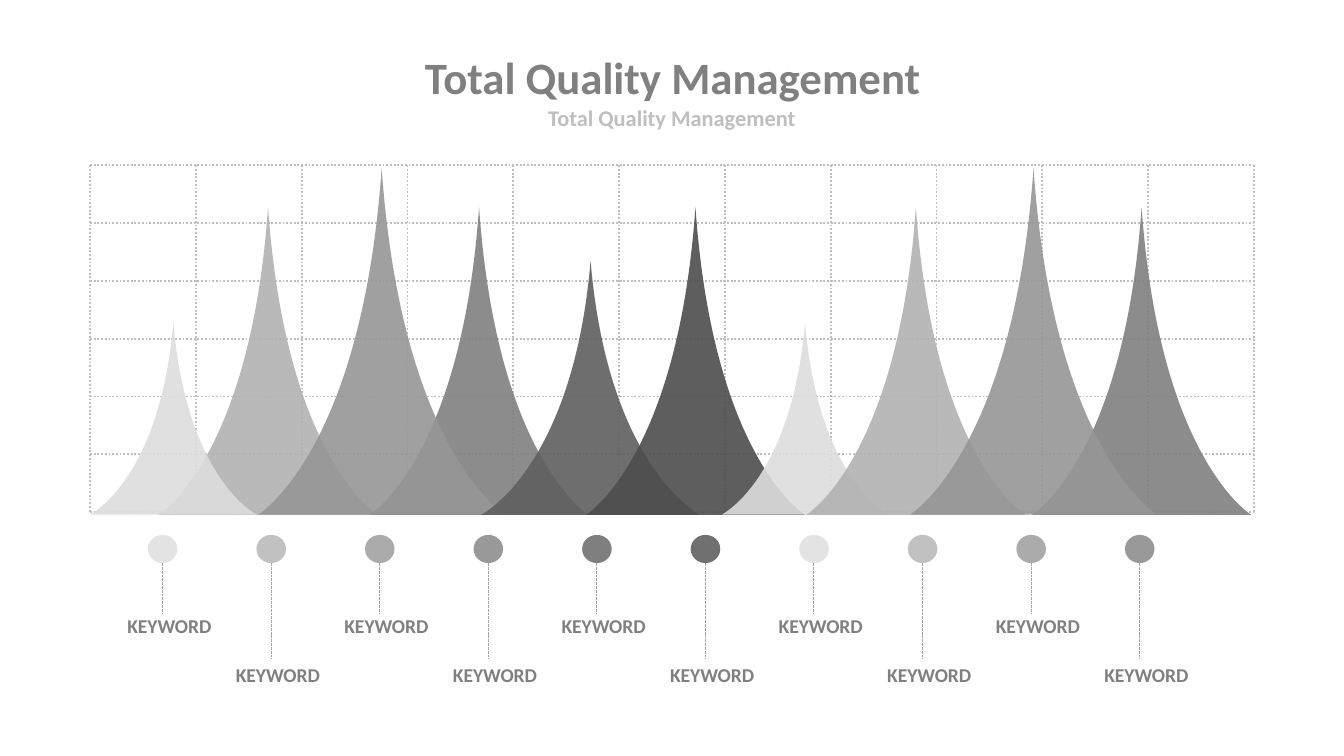
"""Build a slide of overlapping peaks on a dotted grid with keyword markers."""
from lxml.etree import SubElement
from pptx import Presentation
from pptx.dml.color import RGBColor
from pptx.enum.dml import MSO_LINE
from pptx.enum.shapes import MSO_CONNECTOR, MSO_SHAPE
from pptx.enum.text import MSO_ANCHOR, MSO_AUTO_SIZE as AutoSize, PP_ALIGN
from pptx.oxml.ns import qn
from pptx.util import Inches, Pt

TITLE = "Total Quality Management"
SUBTITLE = "Total Quality Management"
KEYWORDS = ["KEYWORD"] * 10
MARKER_SHADES = ["DDDDDD", "B2B2B2", "969696", "808080", "5F5F5F",
                 "4D4D4D", "DDDDDD", "B2B2B2", "969696", "808080"]
# (left, top, width, shade), back to front
PEAKS = [
    (1.18, 1.54, 1.63, "B2B2B2"),
    (2.75, 1.54, 1.63, "808080"),
    (0.67, 2.40, 1.24, "DDDDDD"),
    (1.92, 1.25, 1.84, "969696"),
    (3.58, 1.94, 1.63, "5F5F5F"),
    (4.36, 1.54, 1.63, "4D4D4D"),
    (5.37, 2.40, 1.24, "DDDDDD"),
    (6.00, 1.54, 1.63, "B2B2B2"),
    (7.68, 1.54, 1.63, "808080"),
    (6.77, 1.25, 1.84, "969696"),
]
THEME = {
    "font": "Calibri", "text": "808080", "subtitle": "BFBFBF",
    "grid": "BFBFBF", "stem": "A6A6A6",
    "title_size": 24, "subtitle_size": 12, "label_size": 10.5,
    "peak_alpha": 90, "marker_alpha": 80,
}
SLIDE_WIDTH = Inches(10)
SLIDE_HEIGHT = SLIDE_WIDTH * 9 // 16
GRID = {"left": 0.67, "right": 9.33, "top": 1.23, "bottom": 3.81, "columns": 11, "rows": 6}
PEAK_BASE = 3.83
MARKER = {"first": 1.21, "last": 8.48, "top": 3.98, "width": 0.22, "height": 0.21}
STEM_ENDS = (4.56, 4.90)
LABEL_TOPS = (4.57, 4.93)
LABEL = {"offset": 0.05, "width": 0.64, "height": 0.18}


def write(shape, text, size, color, line_spacing=None):
    frame = shape.text_frame
    frame.word_wrap = False
    frame.margin_left = frame.margin_right = frame.margin_top = frame.margin_bottom = 0
    paragraph = frame.paragraphs[0]
    paragraph.alignment = PP_ALIGN.CENTER
    paragraph.space_before = Pt(0)
    if line_spacing:
        paragraph.line_spacing = line_spacing
    run = paragraph.add_run()
    run.text = text
    run.font.name = THEME["font"]
    run.font.size = Pt(size)
    run.font.bold = True
    run.font.color.rgb = RGBColor.from_string(color)
    return frame


def write_heading(placeholder, box, text, size, color):
    placeholder.left, placeholder.top, placeholder.width, placeholder.height = map(Inches, box)
    properties = placeholder.text_frame.paragraphs[0]._p.get_or_add_pPr()
    properties.set("marL", "0")
    properties.set("indent", "0")
    SubElement(properties, qn("a:buNone"))
    frame = write(placeholder, text, size, color, 0.9)
    frame.vertical_anchor = MSO_ANCHOR.MIDDLE
    frame.auto_size = AutoSize.NONE


def add_line(shapes, start, end, color, width, dash):
    line = shapes.add_connector(MSO_CONNECTOR.STRAIGHT, *map(Inches, (*start, *end)))
    line.line.color.rgb = RGBColor.from_string(color)
    line.line.width = Pt(width)
    line.line.dash_style = dash
    SubElement(line.element.spPr, qn("a:effectLst"))


def paint(shape, color, alpha):
    shape.shadow.inherit = False
    shape.fill.solid()
    shape.fill.fore_color.rgb = RGBColor.from_string(color)
    shape.line.fill.background()
    shade = shape.element.spPr.find(qn("a:solidFill")).find(qn("a:srgbClr"))
    SubElement(shade, qn("a:alpha")).set("val", str(alpha * 1000))


def add_grid(shapes):
    left, right, top, bottom, columns, rows = GRID.values()
    xs = [left + (right - left) * i / columns for i in range(columns + 1)]
    ys = [top + (bottom - top) * i / rows for i in range(rows + 1)]
    ends = [((x, top), (x, bottom)) for x in xs] + [((left, y), (right, y)) for y in ys]
    for start, end in ends:
        add_line(shapes, start, end, THEME["grid"], 1, MSO_LINE.ROUND_DOT)


def add_peak(shapes, left, top, width, shade):
    middle, right = left + width / 2, left + width
    bend, bend_y = 0.08 * width, PEAK_BASE - 0.18 * (PEAK_BASE - top)
    points = [(right, PEAK_BASE), (middle + bend, bend_y), (middle, top),
              (middle - bend, bend_y), (left, PEAK_BASE), (left, PEAK_BASE)]
    builder = shapes.build_freeform(Inches(right), Inches(PEAK_BASE))
    builder.add_line_segments([(Inches(x), Inches(y)) for x, y in points], close=True)
    peak = builder.convert_to_shape()
    segments = list(peak.element.iter(qn("a:lnTo")))
    for curve, *others in (segments[:3], segments[3:]):
        curve.tag = qn("a:cubicBezTo")
        for segment in others:
            curve.append(segment[0])
            segment.getparent().remove(segment)
    paint(peak, shade, THEME["peak_alpha"])


def add_marker(shapes, center, keyword, shade, level):
    top, width, height = MARKER["top"], MARKER["width"], MARKER["height"]
    dot = shapes.add_shape(MSO_SHAPE.OVAL, *map(Inches, (center - width / 2, top, width, height)))
    paint(dot, shade, THEME["marker_alpha"])
    add_line(shapes, (center, top + height), (center, STEM_ENDS[level]),
             THEME["stem"], 0.5, MSO_LINE.SQUARE_DOT)
    label_left = center + LABEL["offset"] - LABEL["width"] / 2
    label = shapes.add_textbox(*map(Inches, (label_left, LABEL_TOPS[level],
                                             LABEL["width"], LABEL["height"])))
    frame = write(label, keyword, THEME["label_size"], THEME["text"])
    frame.auto_size = AutoSize.SHAPE_TO_FIT_TEXT


def main():
    deck = Presentation()
    deck.slide_width, deck.slide_height = SLIDE_WIDTH, SLIDE_HEIGHT
    slide = deck.slides.add_slide(deck.slide_layouts[1])
    add_grid(slide.shapes.add_group_shape().shapes)
    title, subtitle = slide.placeholders
    write_heading(title, (1.92, 0.4, 6.17, 0.39), TITLE, THEME["title_size"], THEME["text"])
    write_heading(subtitle, (2.75, 0.78, 4.5, 0.22), SUBTITLE,
                  THEME["subtitle_size"], THEME["subtitle"])
    for peak in PEAKS:
        add_peak(slide.shapes, *peak)
    pitch = (MARKER["last"] - MARKER["first"]) / (len(KEYWORDS) - 1)
    for i, (keyword, shade) in enumerate(zip(KEYWORDS, MARKER_SHADES)):
        group = slide.shapes.add_group_shape()
        add_marker(group.shapes, MARKER["first"] + i * pitch, keyword, shade, i % 2)
    deck.save("out.pptx")


if __name__ == "__main__":
    main()
